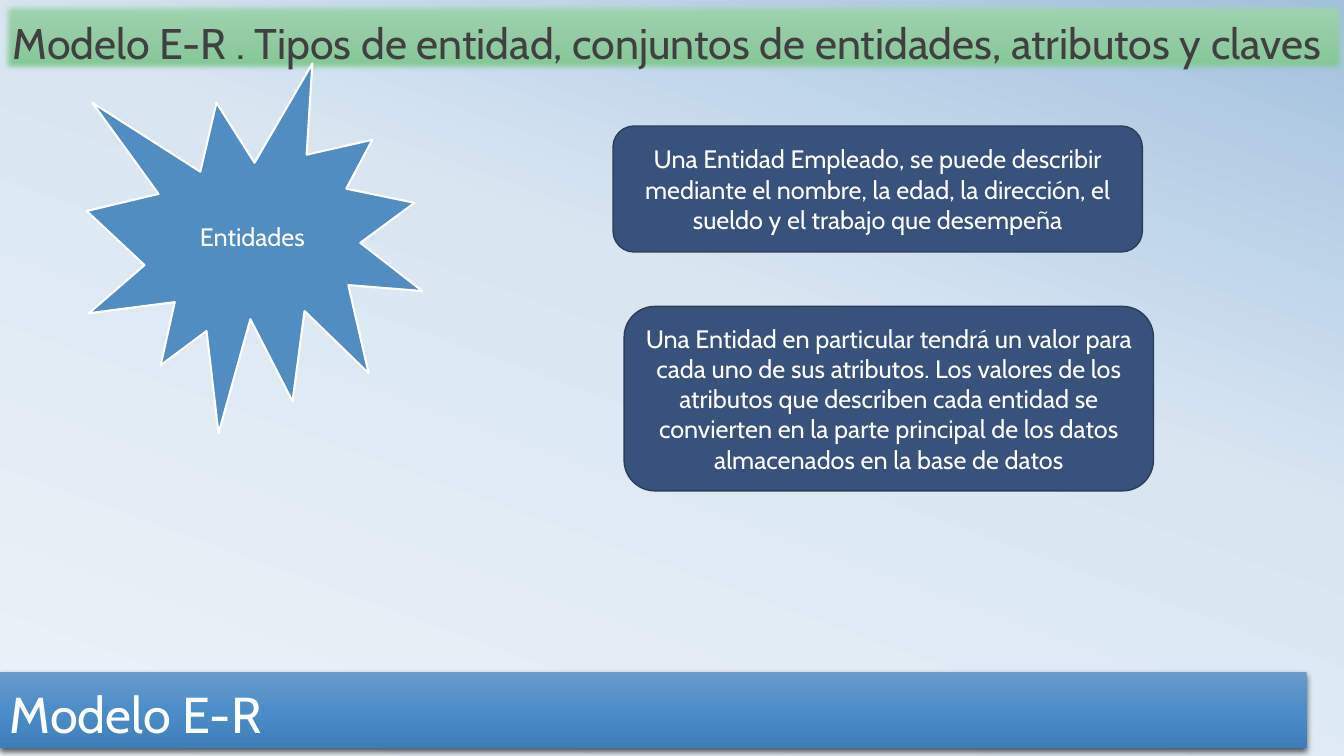
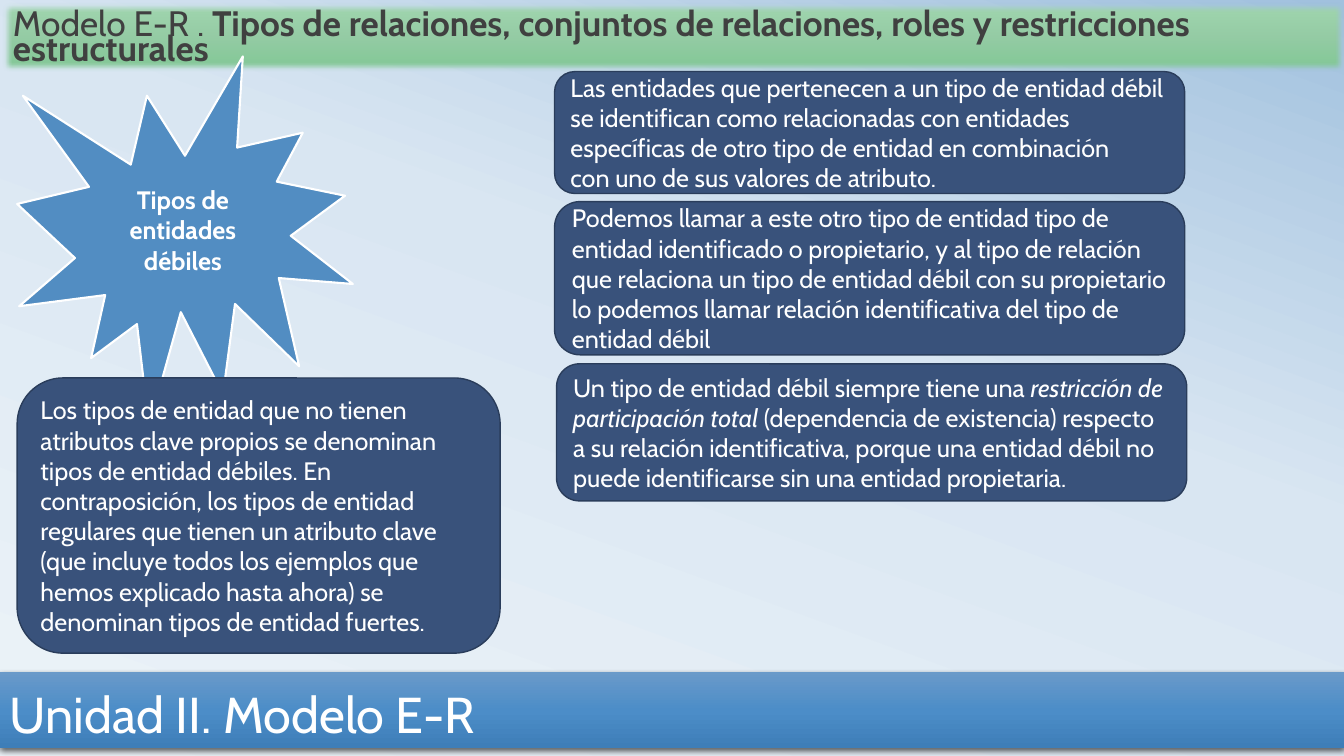
from lxml import etree
from pptx import Presentation
from pptx.dml.color import RGBColor
from pptx.enum.shapes import MSO_SHAPE as Shape
from pptx.enum.text import MSO_ANCHOR as Anchor, PP_ALIGN as Align
from pptx.oxml import parse_xml
from pptx.oxml.ns import nsdecls, qn
from pptx.util import Inches, Pt

WIDTH, HEIGHT = 13.33, 7.5
SKY = [(0, "ECF3F8"), (58, "D9E6F2"), (100, "A1C1DE")]
BLUE = [(0, "6A9AC9"), (50, "4C8DC8"), (100, "3E7EB8")]
GREEN = [(0, "A1D6AF"), (50, "94CBA4"), (100, "80C794")]
SHADOW = (
    f'<a:outerShdw {nsdecls("a")} blurRad="57150" dist="19050" dir="5400000" '
    'algn="ctr" rotWithShape="0"><a:srgbClr val="000000">'
    '<a:alpha val="63000"/></a:srgbClr></a:outerShdw>'
)
SOFT = f'<a:softEdge {nsdecls("a")} rad="63500"/>'


def rgb(code):
    return RGBColor.from_string(code)


class Deck:
    font = {"name": "Cabin", "size": 18, "color": "FFFFFF"}

    def __init__(self):
        self.show = Presentation()
        self.show.slide_width = Inches(WIDTH)
        self.show.slide_height = Inches(HEIGHT)
        self.slide = None

    def blend(self, owner, fill, stops, angle):
        fill.gradient()
        fill.gradient_angle = 360 - angle
        for group in owner.element.iter(qn("a:gsLst")):
            for old in list(group):
                group.remove(old)
            for spot, code in stops:
                stop = etree.SubElement(group, qn("a:gs"), pos=str(spot * 1000))
                etree.SubElement(stop, qn("a:srgbClr"), val=code)

    def page(self):
        self.slide = self.show.slides.add_slide(self.show.slide_layouts[6])
        self.blend(self.slide, self.slide.background.fill, SKY, 290)

    def shape(self, kind, place, fill, line=None, width=1, effect=None):
        item = self.slide.shapes.add_shape(kind, *map(Inches, place))
        item.shadow.inherit = False
        if isinstance(fill, list):
            self.blend(item, item.fill, fill, 90)
        else:
            item.fill.solid()
            item.fill.fore_color.rgb = rgb(fill)
        if line:
            item.line.color.rgb = rgb(line)
            item.line.width = Pt(width)
        else:
            item.line.fill.background()
        if effect:
            item.element.spPr.find(qn("a:effectLst")).append(parse_xml(effect))
        return item

    def text(self, item, paras, anchor=Anchor.MIDDLE, style=None, **layout):
        frame = item.text_frame
        frame.word_wrap = True
        frame.vertical_anchor = anchor
        for index, runs in enumerate(paras):
            para = frame.add_paragraph() if index else frame.paragraphs[0]
            for key, value in layout.items():
                setattr(para, key, value)
            for words, extra in runs:
                run = para.add_run()
                run.text = words
                look = {**self.font, **(style or {}), **extra}
                run.font.color.rgb = rgb(look.pop("color"))
                look["size"] = Pt(look["size"])
                for key, value in look.items():
                    setattr(run.font, key, value)

    def footer(self, words, width=WIDTH):
        bar = self.shape(Shape.RECTANGLE, (0, 6.67, width, 0.75), BLUE,
                         effect=SHADOW)
        self.text(bar, [[(words, {})]], Anchor.BOTTOM, {"size": 36},
                  alignment=Align.LEFT, line_spacing=0.8)

    def header(self, runs, size, space):
        band = self.shape(Shape.RECTANGLE, (0.03, 0.03, 13.3, 0.68), GREEN,
                          "31A962", 0.5, SOFT)
        self.text(band, [runs], Anchor.BOTTOM, {"size": size, "color": "404040"},
                  alignment=Align.LEFT, line_spacing=space)

    def burst(self, left, top, words, **style):
        star = self.shape(Shape.EXPLOSION1, (left, top, 3.33, 3.67), "528DC2",
                          "FFFFFF", 1.5)
        self.text(star, [[(words, style)]], alignment=Align.CENTER)

    def card(self, place, *paras, align=Align.LEFT):
        box = self.shape(Shape.ROUNDED_RECTANGLE, place, "39527B", "2A3D5B")
        self.text(box, paras, alignment=align)


def main():
    deck = Deck()

    deck.page()
    deck.footer("Modelo E-R", 12.96)
    deck.header([("Modelo E-R . Tipos de entidad, conjuntos de entidades, "
                  "atributos y claves", {})], 30.6, 0.7)
    deck.burst(0.86, 0.63, "Entidades")
    deck.card((6.08, 1.25, 5.25, 1.25), [(
        "Una Entidad Empleado, se puede describir mediante el nombre, la edad, "
        "la dirección, el sueldo y el trabajo que desempeña", {})],
        align=Align.CENTER)
    deck.card((6.19, 3.04, 5.25, 1.83), [(
        "Una Entidad en particular tendrá un valor para cada uno de sus "
        "atributos. Los valores de los atributos que describen cada entidad se "
        "convierten en la parte principal de los datos almacenados en la base "
        "de datos", {})], align=Align.CENTER)

    deck.page()
    deck.footer("Unidad II. Modelo E-R")
    deck.header([("Modelo E-R . ", {}),
                 ("Tipos de relaciones, conjuntos de relaciones, roles y "
                  "restricciones estructurales", {"bold": True})], 25.2, 0.6)
    deck.burst(0.17, 0.56, "Tipos de entidades débiles", bold=True)
    deck.card((0.17, 3.75, 4.79, 2.73), [(
        "Los tipos de entidad que no tienen atributos clave propios se "
        "denominan tipos de entidad débiles. En contraposición, los tipos de "
        "entidad regulares que tienen un atributo clave (que incluye todos los "
        "ejemplos que hemos explicado hasta ahora) se denominan tipos de "
        "entidad fuertes.", {})])
    deck.card((5.5, 0.71, 6.25, 1.21), [(
        "Las entidades que pertenecen a un tipo de entidad débil se identifican "
        "como relacionadas con entidades específicas de otro tipo de entidad "
        "en combinación", {})], [("con uno de sus valores de atributo.", {})])
    deck.card((5.5, 2, 6.25, 1.52), [(
        "Podemos llamar a este otro tipo de entidad tipo de entidad "
        "identificado o propietario, y al tipo de relación que relaciona un "
        "tipo de entidad débil con su propietario lo podemos llamar relación "
        "identificativa del tipo de entidad débil", {})])
    deck.card((5.52, 3.61, 6.25, 1.36), [
        ("Un tipo de entidad débil siempre tiene una ", {}),
        ("restricción de participación total ", {"italic": True}),
        ("(dependencia de existencia) respecto a su relación identificativa, "
         "porque una entidad débil no puede identificarse sin una entidad "
         "propietaria.", {})])

    deck.show.save("out.pptx")


if __name__ == "__main__":
    main()
